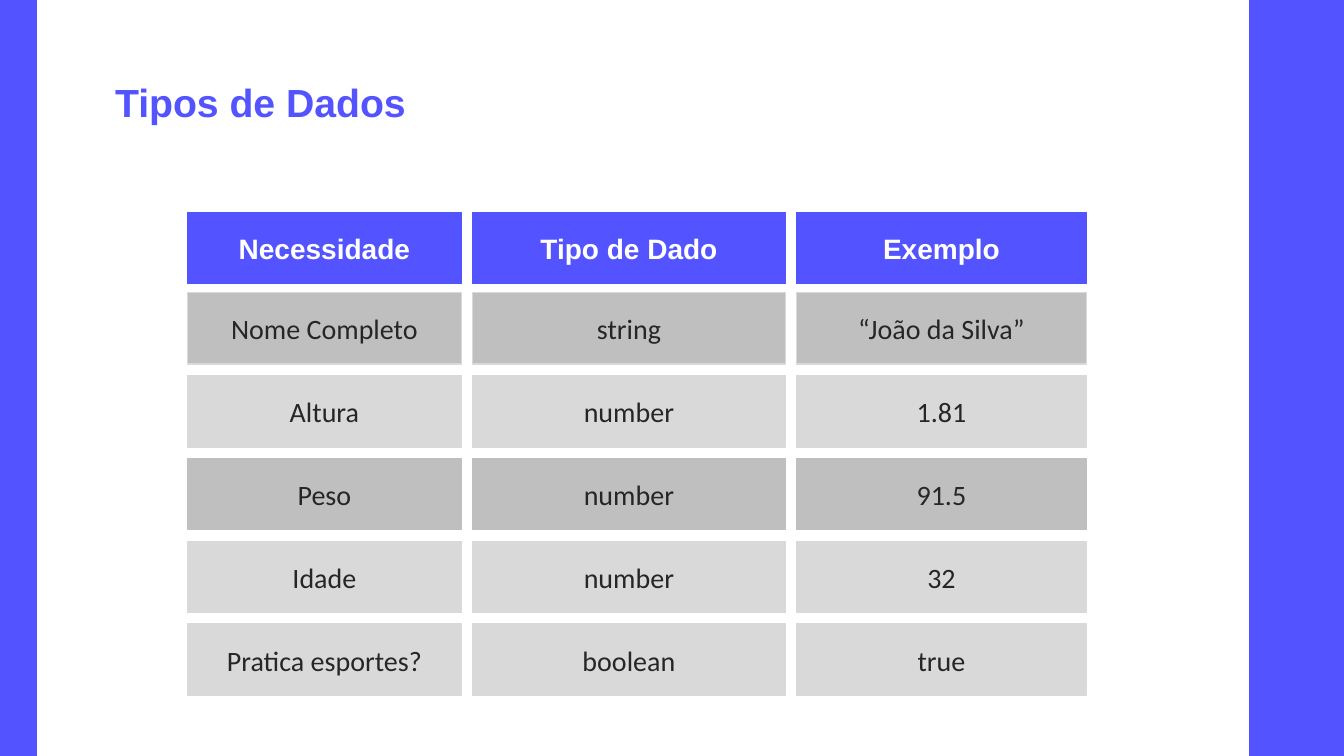
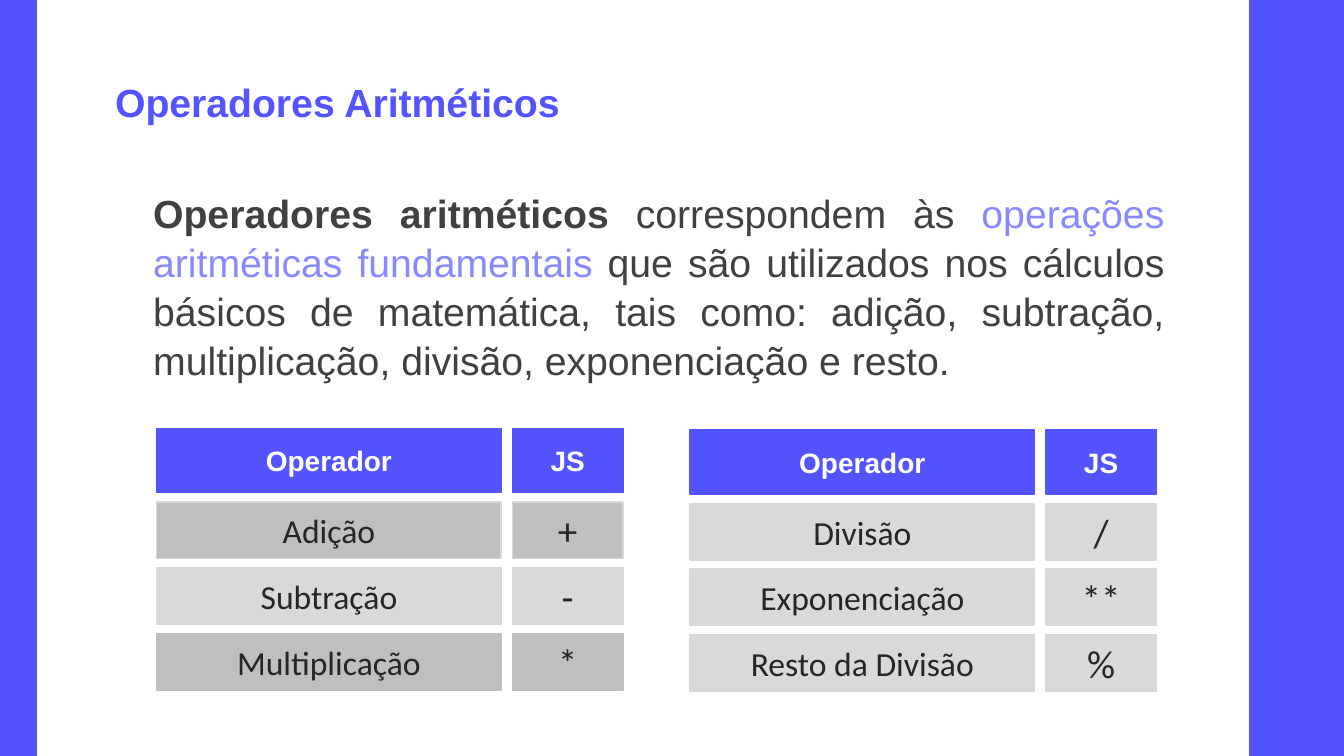
from pptx import Presentation
from pptx.dml.color import RGBColor
from pptx.enum.shapes import MSO_SHAPE as SHAPE
from pptx.enum.text import MSO_ANCHOR as ANCHOR, MSO_AUTO_SIZE as AUTO, PP_ALIGN as ALIGN
from pptx.util import Pt

BLUE = RGBColor(0x53, 0x53, 0xFF)
LILAC = RGBColor(0x89, 0x89, 0xFF)
WHITE = RGBColor(0xFF, 0xFF, 0xFF)
INK = RGBColor(0x26, 0x26, 0x26)
GRAY = RGBColor(0x40, 0x40, 0x40)
MID = RGBColor(0xBF, 0xBF, 0xBF)
LIGHT = RGBColor(0xD9, 0xD9, 0xD9)

TITLE = dict(name="Arial", size=Pt(28), bold=True)
HEADER = dict(name="Arial", size=Pt(20), bold=True)
BODY = dict(name="Arial", size=Pt(28), bold=False)
CELL = dict(name="Calibri", bold=False)

FIRST, PLAIN, DARK = (MID, LIGHT), (LIGHT, LIGHT), (MID, MID)


def add_run(p, text, color, **fmt):
    """Add a run of text with the given font format."""
    r = p.add_run()
    r.text = text
    r.font.color.rgb = color
    for key, value in fmt.items():
        setattr(r.font, key, value)


def set_frame(tf, anchor, inset):
    """Set the wrapping, anchor and equal insets of a text frame."""
    settings = dict(word_wrap=True, auto_size=AUTO.NONE, vertical_anchor=anchor)
    for side in ("left", "top", "right", "bottom"):
        settings[f"margin_{side}"] = Pt(inset)
    for key, value in settings.items():
        setattr(tf, key, value)


def add_box(s, box, fill, line):
    """Add a flat rectangle with a thin outline."""
    sp = s.shapes.add_shape(SHAPE.RECTANGLE, *map(Pt, box))
    sp.shadow.inherit = False
    sp.fill.solid()
    sp.fill.fore_color.rgb = fill
    sp.line.color.rgb = line
    sp.line.width = Pt(1)
    return sp


def add_cell(s, box, text, colors, ink, **fmt):
    """Add a rectangle with centred text."""
    tf = add_box(s, box, *colors).text_frame
    set_frame(tf, ANCHOR.MIDDLE, 3.6)
    p = tf.paragraphs[0]
    p.alignment = ALIGN.CENTER
    add_run(p, text, ink, **fmt)


def add_grid(s, left, top, widths, heights, row_gap, sizes, header, rows):
    """Add a header and rows of spaced cells from a top left corner."""
    header_h, row_h = heights
    first_row = top + header_h + 6.5
    for i, (width, size) in enumerate(zip(widths, sizes)):
        x = left + sum(widths[:i]) + 8 * i
        add_cell(s, (x, top, width, header_h), header[i], (BLUE, BLUE), WHITE, **HEADER)
        for j, (colors, *texts) in enumerate(rows):
            y = first_row + j * (row_h + row_gap)
            add_cell(s, (x, y, width, row_h), texts[i], colors, INK, size=Pt(size), **CELL)


def add_slide(prs, title):
    """Add a slide with its side bands and title."""
    s = prs.slides.add_slide(prs.slide_layouts[5])
    for left, width in ((-0.5, 26.5), (893, 67)):
        add_box(s, (left, 0, width, 540), BLUE, BLUE)
    sp = s.shapes.title
    sp.left, sp.top, sp.width, sp.height = map(Pt, (75, 56, 590, 40.5))
    set_frame(sp.text_frame, ANCHOR.BOTTOM, 7.2)
    p = sp.text_frame.paragraphs[0]
    p.alignment = ALIGN.LEFT
    add_run(p, title, BLUE, **TITLE)
    return s


def add_intro(s, box, runs):
    """Add a justified paragraph of coloured runs."""
    tf = s.shapes.add_textbox(*map(Pt, box)).text_frame
    set_frame(tf, ANCHOR.TOP, 9.4)
    p = tf.paragraphs[0]
    p.alignment = ALIGN.JUSTIFY
    p.space_before = Pt(6)
    p.line_spacing = 1.04
    for text, color, bold in runs:
        add_run(p, text, color, **{**BODY, "bold": bold})


def types_slide(prs):
    """Build the slide on data types."""
    s = add_slide(prs, "Tipos de Dados")
    add_grid(s, 134, 152, (195.5, 223.5, 207), (50.5, 51), 8.2, (20, 20, 20),
             ("Necessidade", "Tipo de Dado", "Exemplo"),
             [(FIRST, "Nome Completo", "string", "“João da Silva”"),
              (PLAIN, "Altura", "number", "1.81"),
              (DARK, "Peso", "number", "91.5"),
              (PLAIN, "Idade", "number", "32"),
              (PLAIN, "Pratica esportes?", "boolean", "true")])


def operators_slide(prs):
    """Build the slide on arithmetic operators."""
    s = add_slide(prs, "Operadores Aritméticos")
    add_intro(s, (100, 124.5, 741, 169), [
        ("Operadores aritméticos ", GRAY, True),
        ("correspondem às ", GRAY, False),
        ("operações aritméticas fundamentais", LILAC, False),
        (" que são utilizados nos cálculos básicos de matemática, tais como: "
         "adição, subtração, multiplicação, divisão, exponenciação e resto.", GRAY, False)])
    left_rows = [(FIRST, "Adição", "+"), (PLAIN, "Subtração", "-"),
                 (DARK, "Multiplicação", "*")]
    right_rows = [(PLAIN, "Divisão", "/"), (PLAIN, "Exponenciação", "**"),
                  (PLAIN, "Resto da Divisão", "%")]
    for left, top, rows in ((112, 306, left_rows), (493, 307, right_rows)):
        add_grid(s, left, top, (246, 79), (46, 40.5), 6.5, (24, 28),
                 ("Operador", "JS"), rows)


def main():
    """Build and save the presentation."""
    prs = Presentation()
    prs.slide_width, prs.slide_height = Pt(960), Pt(540)
    types_slide(prs)
    operators_slide(prs)
    prs.save("out.pptx")


if __name__ == "__main__":
    main()
